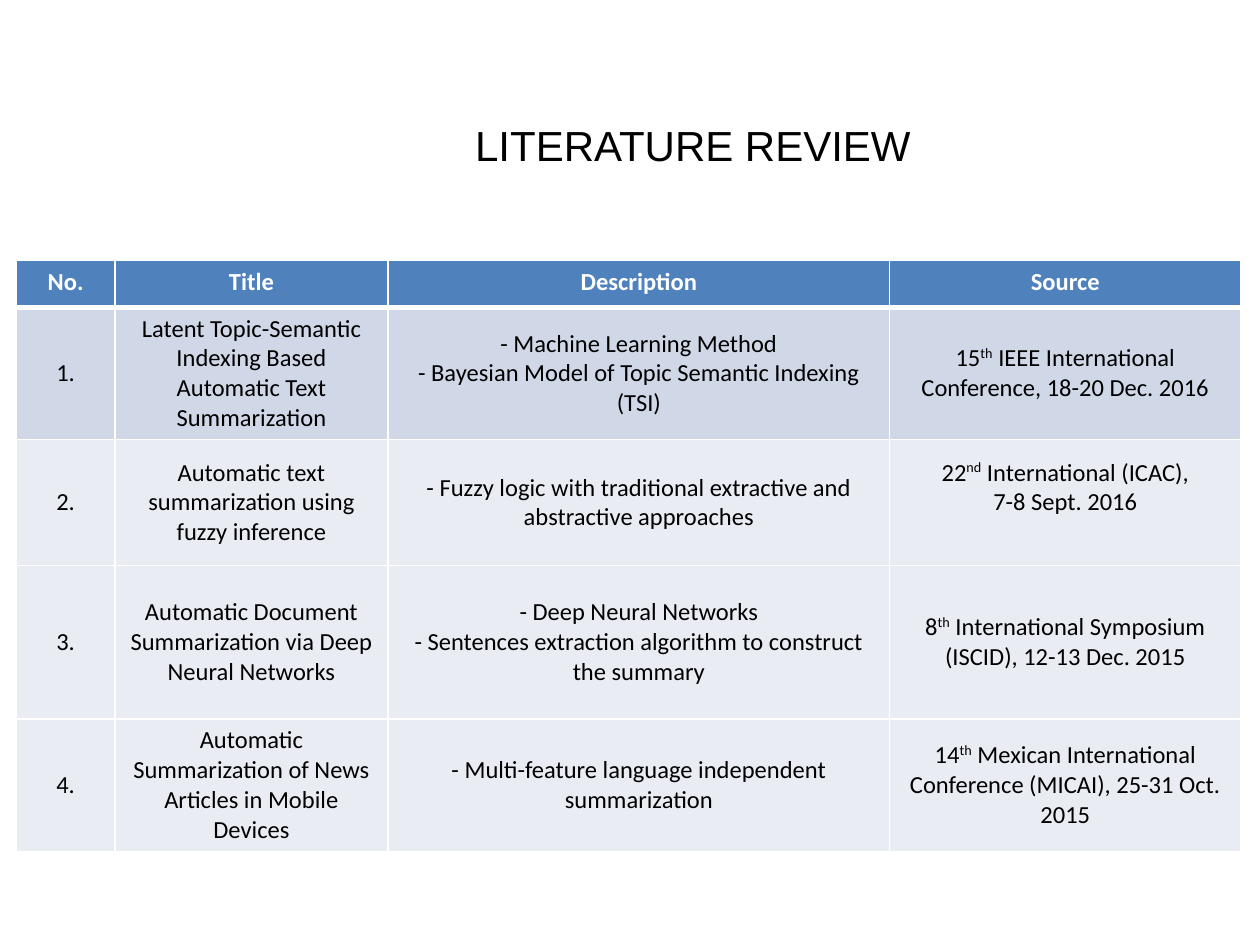
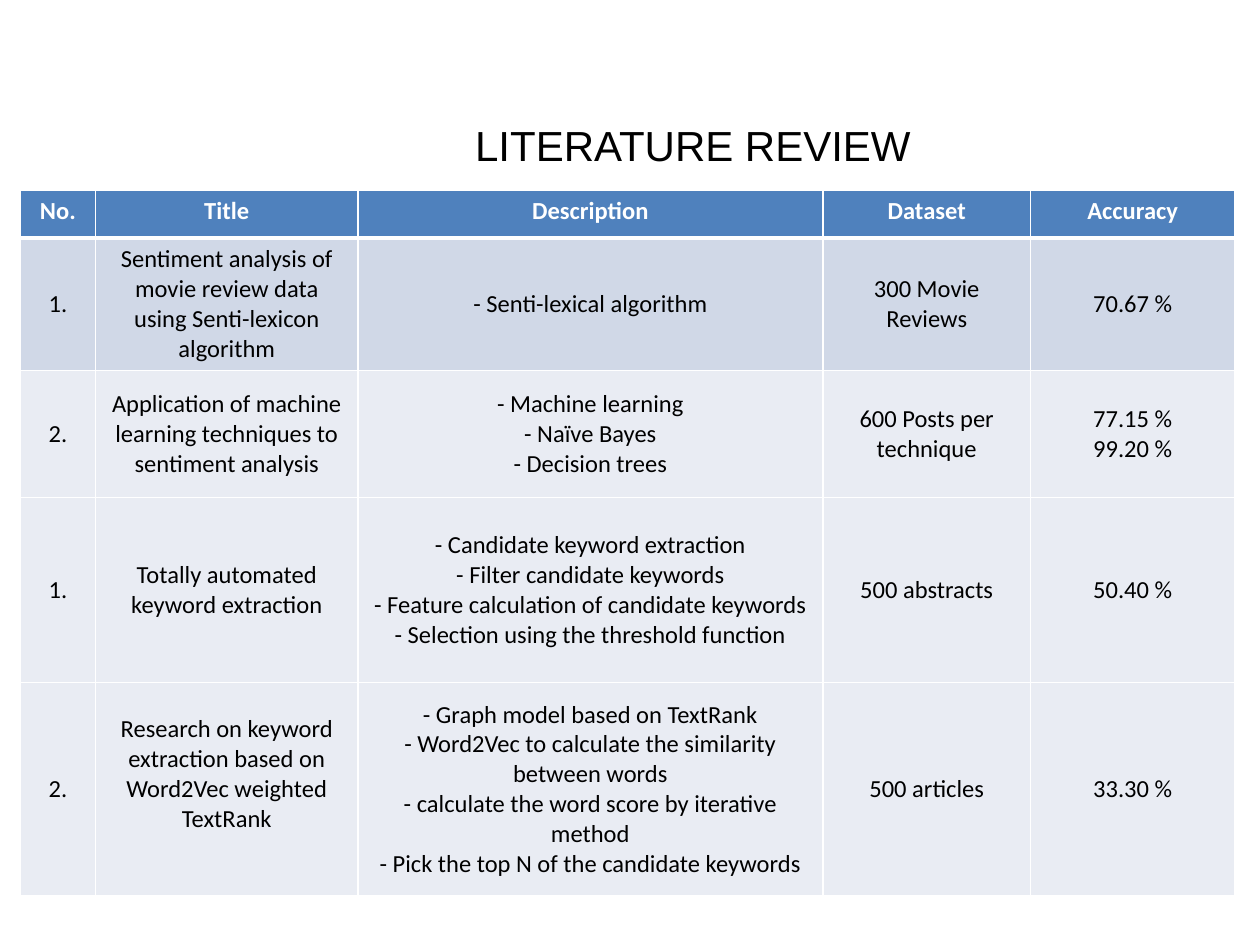
from dataclasses import dataclass
from typing import Any

from lxml.etree import SubElement
from pptx import Presentation
from pptx.dml.color import RGBColor
from pptx.enum.text import MSO_ANCHOR, MSO_AUTO_SIZE, PP_ALIGN
from pptx.oxml.ns import qn
from pptx.slide import Slide
from pptx.util import Pt

WHITE, BLACK = "FFFFFF", "000000"
HEADER_BLUE, FIRST_ROW_BLUE, BODY_GREY = "4F81BD", "D0D8E7", "E9ECF3"
TITLE_FONT = {"name": "Arial", "size": Pt(24), "bold": False}
HEADER_FONT = {"name": "Calibri", "size": Pt(14), "bold": True}
BODY_FONT = HEADER_FONT | {"bold": False}
THIN_RULE, HEADER_RULE = 0.96, 3
RAISED_MARGIN = 20.7  # lifts a cell's text by half a line


@dataclass(frozen=True)
class Review:
    """One slide's table; newlines split paragraphs and ^ encloses superscripts."""
    left: float
    top: float
    widths: list[float]
    heights: list[float]
    rows: list[list[str]]
    raised_cell: tuple[int, int]


REVIEWS = [
    Review(
        9.4, 149, [56.2, 156.2, 286.6, 200.8], [26.6, 75.6, 72, 87.8, 75.6],
        [
            ["No.", "Title", "Description", "Source"],
            ["1.", "Latent Topic-Semantic Indexing Based Automatic Text Summarization",
             "- Machine Learning Method\n"
             "- Bayesian Model of Topic Semantic Indexing (TSI)",
             "15^th^ IEEE International Conference, 18-20 Dec. 2016"],
            ["2.", "Automatic text summarization using fuzzy inference",
             "- Fuzzy logic with traditional extractive and abstractive approaches",
             "22^nd^ International (ICAC),\n7-8 Sept. 2016"],
            ["3.", "Automatic Document Summarization via Deep Neural Networks",
             "- Deep Neural Networks\n"
             "- Sentences extraction algorithm to construct the summary",
             "8^th^ International Symposium (ISCID), 12-13 Dec. 2015"],
            ["4.", "Automatic Summarization of News Articles in Mobile Devices",
             "- Multi-feature language independent summarization",
             "14^th^ Mexican International Conference (MICAI), 25-31 Oct. 2015"],
        ],
        (2, 3),
    ),
    Review(
        11.5, 108.7, [43.2, 149.8, 265.7, 118.8, 116.6], [27.4, 75.6, 72.7, 105.8, 121.7],
        [
            ["No.", "Title", "Description", "Dataset", "Accuracy"],
            ["1.", "Sentiment analysis of movie review data using Senti-lexicon algorithm",
             "- Senti-lexical algorithm", "300 Movie Reviews", "70.67 %"],
            ["2.", "Application of machine learning techniques to sentiment analysis",
             "- Machine learning\n- Naïve Bayes\n- Decision trees",
             "600 Posts per technique", "77.15 %\n99.20 %"],
            ["1.", "Totally automated keyword extraction",
             "- Candidate keyword extraction\n- Filter candidate keywords\n"
             "- Feature calculation of candidate keywords\n"
             "- Selection using the threshold function",
             "500 abstracts", "50.40 %"],
            ["2.", "Research on keyword extraction based on Word2Vec weighted TextRank",
             "- Graph model based on TextRank\n"
             "- Word2Vec to calculate the similarity between words\n"
             "- calculate the word score by iterative method\n"
             "- Pick the top N of the candidate keywords",
             "500 articles", "33.30 %"],
        ],
        (4, 1),
    ),
]


def paint(color_format: Any, color: str) -> None:
    color_format.rgb = RGBColor.from_string(color)


def write(frame: Any, text: str, font_format: dict[str, Any], color: str) -> None:
    for index, line in enumerate(text.split("\n")):
        paragraph = frame.add_paragraph() if index else frame.paragraphs[0]
        paragraph.alignment = PP_ALIGN.CENTER
        for part_index, part in enumerate(line.split("^")):
            run = paragraph.add_run()
            run.text = part
            for attribute, value in font_format.items():
                setattr(run.font, attribute, value)
            paint(run.font.color, color)
            if part_index % 2:
                run.font._element.set("baseline", "33000")


def add_title(slide: Slide) -> None:
    frame = slide.shapes.add_textbox(Pt(259.2), Pt(64.8), Pt(273.6), Pt(36)).text_frame
    frame.word_wrap = True
    frame.auto_size = MSO_AUTO_SIZE.SHAPE_TO_FIT_TEXT
    write(frame, "LITERATURE REVIEW", TITLE_FONT, BLACK)


def add_borders(cell: Any, top: float, bottom: float) -> None:
    properties = cell._tc.get_or_add_tcPr()
    widths = {"lnL": THIN_RULE, "lnR": THIN_RULE, "lnT": top, "lnB": bottom}
    for side, width in widths.items():
        border = SubElement(properties, qn(f"a:{side}"), w=str(Pt(width)))
        fill = SubElement(border, qn("a:solidFill"))
        SubElement(fill, qn("a:srgbClr"), val=WHITE)


def add_review(slide: Slide, review: Review) -> None:
    table = slide.shapes.add_table(
        len(review.heights), len(review.widths), Pt(review.left), Pt(review.top),
        Pt(sum(review.widths)), Pt(sum(review.heights))).table
    table.first_row = table.horz_banding = False
    for column, width in zip(table.columns, review.widths):
        column.width = Pt(width)
    for row, height in zip(table.rows, review.heights):
        row.height = Pt(height)
    fills = [HEADER_BLUE, FIRST_ROW_BLUE] + [BODY_GREY] * (len(review.rows) - 2)
    for row_index, (texts, fill) in enumerate(zip(review.rows, fills)):
        is_header = row_index == 0
        for column_index, text in enumerate(texts):
            cell = table.cell(row_index, column_index)
            add_borders(cell, HEADER_RULE if row_index == 1 else THIN_RULE,
                        HEADER_RULE if is_header else THIN_RULE)
            cell.fill.solid()
            paint(cell.fill.fore_color, fill)
            cell.vertical_anchor = MSO_ANCHOR.TOP if is_header else MSO_ANCHOR.MIDDLE
            if (row_index, column_index) == review.raised_cell:
                cell.margin_bottom = Pt(RAISED_MARGIN)
            write(cell.text_frame, text, HEADER_FONT if is_header else BODY_FONT,
                  WHITE if is_header else BLACK)


def main() -> None:
    presentation = Presentation()
    presentation.slide_width, presentation.slide_height = Pt(720), Pt(540)
    for review in REVIEWS:
        slide = presentation.slides.add_slide(presentation.slide_layouts[6])
        add_title(slide)
        add_review(slide, review)
    presentation.save("out.pptx")


if __name__ == "__main__":
    main()
